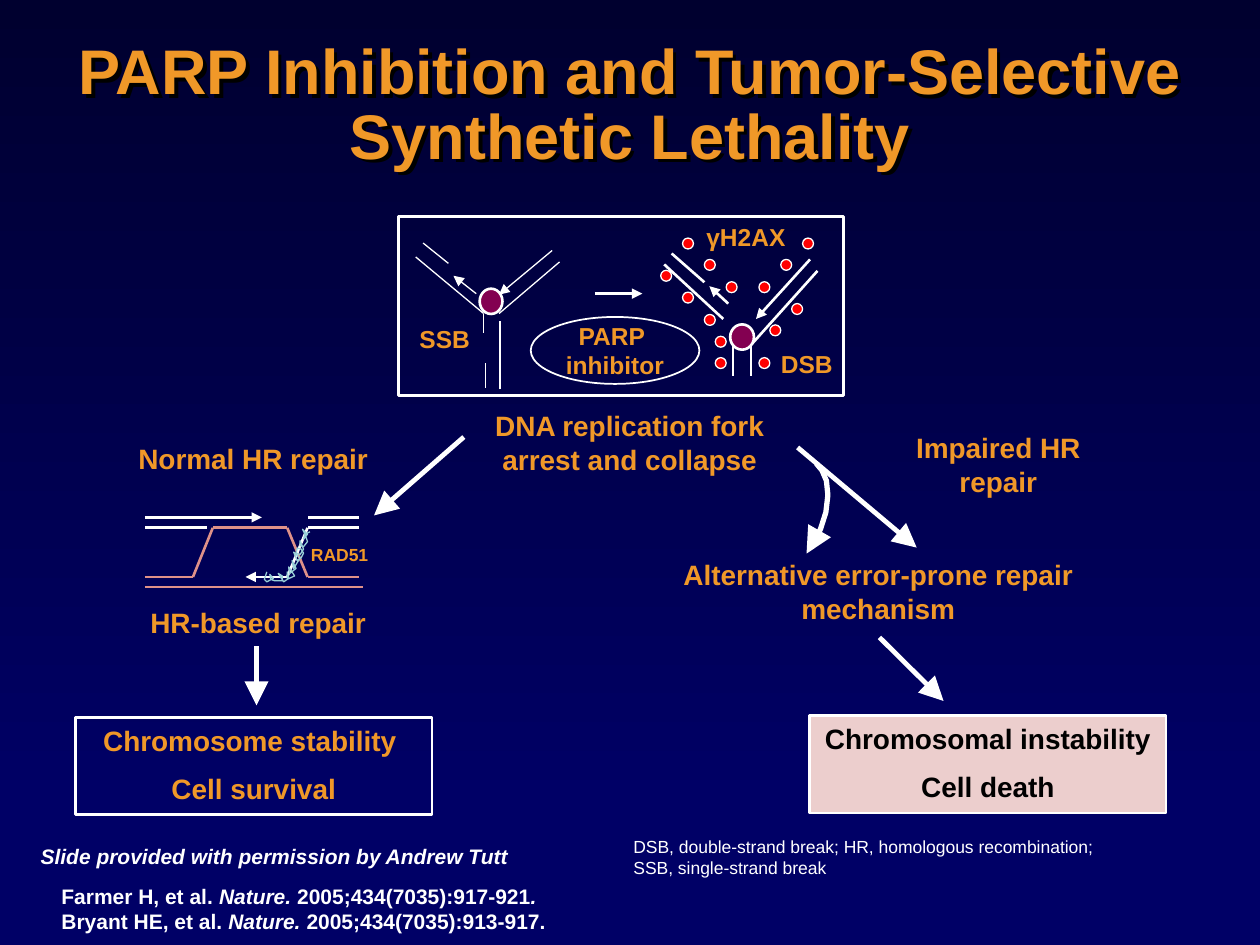
import pptx
import pptx.dml.color
import pptx.enum.shapes
import pptx.enum.text
import pptx.oxml
import pptx.util

Cm, Pt = pptx.util.Cm, pptx.util.Pt
color = pptx.dml.color.RGBColor.from_string
SHAPE = pptx.enum.shapes.MSO_SHAPE
ALIGN = pptx.enum.text.PP_ALIGN
ANCHOR = pptx.enum.text.MSO_ANCHOR
DRAWING = 'xmlns:a="http://schemas.openxmlformats.org/drawingml/2006/main"'
ORANGE, WHITE, BLACK, ROSE = "F09828", "FFFFFF", "000000", "DF9189"
ARROW = True


def write(frame, text, size, hue=ORANGE, align=ALIGN.CENTER, bold=True, italic=None):
    """Fill a text frame, one paragraph for each line of text."""
    frame.text = text
    for paragraph in frame.paragraphs:
        paragraph.alignment = align
        paragraph.font.name = "Arial"
        paragraph.font.size = Pt(size)
        paragraph.font.bold = bold
        paragraph.font.italic = italic
        paragraph.font.color.rgb = color(hue)


def draw_line(line, hue, width, arrow=False):
    """Format a line; heads of heavy lines are large."""
    line.color.rgb = color(hue)
    line.width = Pt(width)
    if arrow:
        head = "lg" if width > 2 else "med"
        line._get_or_add_ln().append(pptx.oxml.parse_xml(
            f'<a:tailEnd {DRAWING} type="triangle" w="{head}" len="{head}"/>'))


presentation = pptx.Presentation()
presentation.slide_width, presentation.slide_height = Cm(25.4), Cm(19.05)
slide = presentation.slides.add_slide(presentation.slide_layouts[5])
shapes = slide.shapes

# Background, with a gradient panel behind everything
slide.background.fill.solid()
slide.background.fill.fore_color.rgb = color("000066")
panel = shapes.add_shape(SHAPE.RECTANGLE, 0, 0, Cm(25.4), Cm(16.31))
panel.shadow.inherit = False
panel.line.fill.background()
panel.fill.gradient()
panel.fill.gradient_angle = 270
for stop, hue in zip(panel.fill.gradient_stops, ("00002F", "000066")):
    stop.color.rgb = color(hue)
shapes._spTree.insert(2, panel._element)

# Title with a shadow
title = shapes.title
title.left, title.top, title.width, title.height = Cm(0.94), Cm(0.58), Cm(23.52), Cm(3.18)
title.text_frame.vertical_anchor = ANCHOR.MIDDLE
write(title.text_frame, "PARP Inhibition and Tumor-Selective Synthetic Lethality", 36)
title.text_frame.paragraphs[0].line_spacing = 0.85
title.fill.background()
title._element.spPr.append(pptx.oxml.parse_xml(
    f'<a:effectLst {DRAWING}><a:outerShdw dist="38100" dir="2700000" algn="ctr" rotWithShape="0">'
    '<a:srgbClr val="000000"/></a:outerShdw></a:effectLst>'))

# Straight lines: colour, width, then from, to and an optional arrow
line_groups = [
    # Fork with a single-strand break
    (WHITE, 0.75, [
        (9.75, 6.71, 9.75, 6.32), (10.06, 6.32, 11.28, 5.28),
        (11.13, 5.05, 10.06, 5.94, ARROW), (8.38, 5.18, 9.75, 6.32),
        (9.04, 5.31, 8.53, 4.9), (9.6, 5.92, 9.14, 5.56, ARROW),
        (10.08, 7.85, 10.08, 6.48), (9.78, 7.82, 9.78, 7.32)]),
    # Fork with a double-strand break
    (WHITE, 1.5, [
        (11.99, 5.92, 12.95, 5.92, ARROW), (14.78, 7.57, 14.78, 6.96),
        (15.14, 7.57, 15.14, 6.96), (15.16, 6.93, 16.48, 5.46),
        (16.33, 5.23, 15.24, 6.43, ARROW), (13.39, 5.33, 14.58, 6.43),
        (14.2, 5.69, 13.54, 5.11), (14.68, 6.12, 14.3, 5.77, ARROW)]),
    # Template strand of the HR repair
    (ROSE, 1.5, [
        (2.92, 11.83, 7.32, 11.83), (2.92, 11.63, 3.89, 11.63),
        (3.89, 11.63, 4.29, 10.64), (4.29, 10.64, 5.79, 10.64),
        (6.2, 11.63, 5.79, 10.64), (6.2, 11.63, 7.24, 11.63)]),
    # Repaired strand
    (WHITE, 1.5, [
        (7.24, 10.64, 6.2, 10.64), (5.79, 11.63, 6.2, 10.64),
        (5.79, 11.63, 4.95, 11.63, ARROW), (2.92, 10.43, 5.28, 10.43, ARROW),
        (7.24, 10.43, 6.2, 10.43), (4.17, 10.64, 2.92, 10.64)]),
    # Pathway arrows
    (WHITE, 2.75, [
        (9.35, 8.81, 7.54, 10.39, ARROW), (5.17, 13.03, 5.17, 14.22, ARROW),
        (17.73, 12.85, 19.02, 14.13, ARROW), (16.08, 9.02, 18.48, 11.04, ARROW)]),
]
for hue, width, lines in line_groups:
    for x1, y1, x2, y2, *arrow in lines:
        connector = shapes.add_connector(
            pptx.enum.shapes.MSO_CONNECTOR.STRAIGHT, Cm(x1), Cm(y1), Cm(x2), Cm(y2))
        draw_line(connector.line, hue, width, bool(arrow))
        connector._element.spPr.append(pptx.oxml.parse_xml(f"<a:effectLst {DRAWING}/>"))

# Shapes: kind, place, fill, line width, text, size, text colour
figures = [
    (SHAPE.OVAL, 9.67, 5.82, 0.46, 0.51, "830051", 1.5, "", 14, WHITE),
    (SHAPE.OVAL, 14.72, 6.54, 0.48, 0.51, "830051", 1.5, "", 14, WHITE),
    (SHAPE.RECTANGLE, 8.04, 4.37, 8.97, 3.61, None, 1.5, "", 14, WHITE),
    (SHAPE.OVAL, 10.7, 6.39, 3.4, 1.35, None, 1, "PARP \vinhibitor", 14, ORANGE),
    (SHAPE.RECTANGLE, 1.52, 14.46, 7.19, 1.96, None, 1.5,
     "Chromosome stability \nCell survival", 16, ORANGE),
    (SHAPE.RECTANGLE, 16.32, 14.43, 7.19, 1.96, "ECCECD", 1.5,
     "Chromosomal instability \nCell death", 16, BLACK),
]
gamma_dots = [
    (13.76, 4.8), (14.2, 5.23), (14.64, 5.68), (15.3, 5.68), (15.74, 5.23),
    (13.32, 5.45), (13.76, 5.89), (16.18, 4.8), (14.2, 6.34), (14.42, 6.78),
    (15.52, 6.55), (15.3, 7.21), (14.42, 7.21), (15.96, 6.12)]
figures += [(SHAPE.OVAL, x, y, 0.22, 0.22, "FF0000", 0.75, "", 14, WHITE) for x, y in gamma_dots]
for kind, left, top, width, height, fill, line, text, size, hue in figures:
    shape = shapes.add_shape(kind, Cm(left), Cm(top), Cm(width), Cm(height))
    shape.shadow.inherit = False
    if fill:
        shape.fill.solid()
        shape.fill.fore_color.rgb = color(fill)
    else:
        shape.fill.background()
    draw_line(shape.line, WHITE, line)
    if text:
        frame = shape.text_frame
        frame.word_wrap = kind == SHAPE.RECTANGLE
        frame.vertical_anchor = ANCHOR.TOP if frame.word_wrap else ANCHOR.MIDDLE
        write(frame, text, size, hue)
        for paragraph in frame.paragraphs[1:]:
            paragraph.space_before = Pt(8)

# Curves: RAD51 coil, and bent arrow whose outline starts at the centre of its arc
coil = [
    (5.38, 11.53), (5.33, 11.68), (5.38, 11.73), (5.51, 11.66), (5.44, 11.58),
    (5.46, 11.68), (5.54, 11.71), (5.69, 11.71), (5.69, 11.61), (5.61, 11.56),
    (5.72, 11.73), (5.82, 11.66), (5.79, 11.53), (5.79, 11.68), (5.94, 11.61),
    (5.82, 11.43), (5.84, 11.56), (5.97, 11.46), (5.89, 11.3), (5.92, 11.46),
    (6.05, 11.25), (5.92, 11.13), (5.99, 11.3), (6.07, 11.25), (6.12, 11.15),
    (6.07, 11.07), (5.99, 11.05), (5.97, 11.15), (6.05, 11.18), (6.12, 11.07),
    (6.05, 10.9), (6.05, 11), (6.12, 11.02), (6.2, 10.92), (6.15, 10.77),
    (6.12, 10.87), (6.2, 10.77), (6.1, 10.67), (6.15, 10.77), (6.25, 10.72)]
bent_arrow = [(16.46, 9.35), (16.57, 9.48), (16.66, 9.69), (16.69, 9.98),
              (16.65, 10.33), (16.54, 10.67), (16.26, 11.16)]
arc_centre = (15.54, 10.72)
for origin, points, hue, width, arrow in (
        (coil[0], coil, "99D0D7", 0.75, False),
        (arc_centre, bent_arrow, WHITE, 3, ARROW)):
    start, first, *rest = [(Cm(x), Cm(y)) for x, y in (origin, *points)]
    builder = shapes.build_freeform(*start)
    if first != start:
        builder.move_to(*first)
    builder.add_line_segments(rest, close=False)
    curve = builder.convert_to_shape()
    curve.shadow.inherit = False
    curve.fill.background()
    draw_line(curve.line, hue, width, arrow)

# Labels and notes: place, text, then size and format
labels = [
    (9.56, 8.12, 6.27, 1.63, "DNA replication fork arrest and collapse", 16),
    (8.04, 6.4, 1.85, 0.89, "SSB", 14),
    (13.99, 4.36, 2.11, 0.86, "γH2AX", 14, ORANGE, ALIGN.LEFT),
    (15.34, 6.91, 1.85, 0.89, "DSB", 14),
    (2.13, 12.08, 6.15, 0.94, "HR-based repair", 16),
    (2.54, 8.77, 5.18, 0.94, "Normal HR repair", 16, ORANGE, ALIGN.LEFT),
    (6.02, 10.85, 1.68, 0.69, "RAD51", 10, ORANGE, ALIGN.LEFT),
    (17.52, 8.56, 5.21, 1.63, "Impaired HR repair", 16),
    (13.3, 11.12, 8.81, 1.63, "Alternative error-prone repair mechanism", 16),
    (12.52, 16.73, 12.6, 1.02, "DSB, double-strand break; HR, homologous recombination; \v"
     "SSB, single-strand break", 10, WHITE, ALIGN.LEFT, False),
    (0.52, 16.88, 9.98, 0.76, "Slide provided with permission by Andrew Tutt ",
     12, WHITE, ALIGN.RIGHT, True, True),
]
for left, top, width, height, text, *style in labels:
    box = shapes.add_textbox(Cm(left), Cm(top), Cm(width), Cm(height))
    box.text_frame.word_wrap = " " in text
    write(box.text_frame, text, *style)

# References, with the journal in italics
references = shapes.add_textbox(Cm(0.99), Cm(17.68), Cm(10.62), Cm(1.3)).text_frame
references.word_wrap = True
write(references, "Farmer H, et al. \nBryant HE, et al. ", 12, WHITE, ALIGN.LEFT)
endings = [
    [("Nature. ", True), ("2005;434(7035):917-921", False), (".", True)],
    [("Nature. ", True), ("2005;434(7035):913-917.", False)]]
for paragraph, parts in zip(references.paragraphs, endings):
    for text, italic in parts:
        run = paragraph.add_run()
        run.text = text
        run.font.italic = italic

presentation.save("out.pptx")
